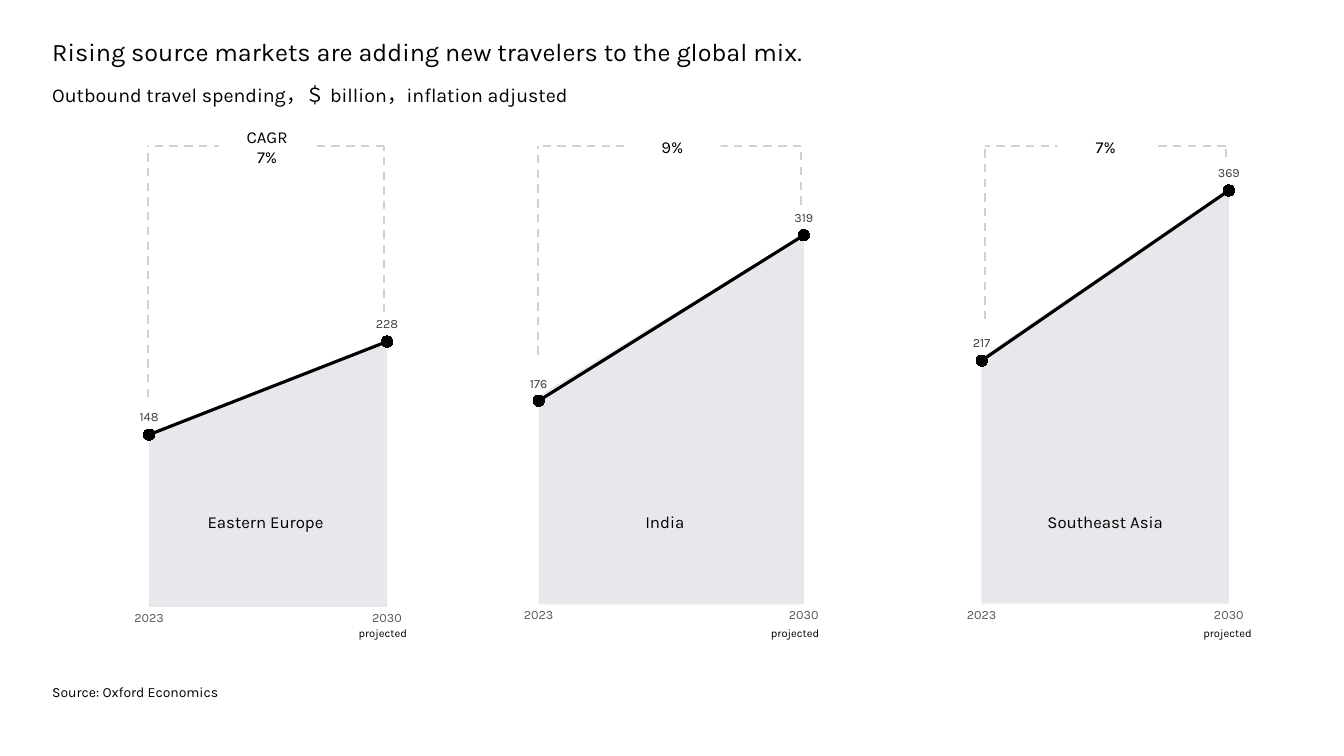
from dataclasses import dataclass

from lxml.etree import SubElement
from pptx import Presentation
from pptx.chart.data import CategoryChartData
from pptx.dml.color import RGBColor
from pptx.enum.chart import XL_CHART_TYPE, XL_LABEL_POSITION, XL_MARKER_STYLE, XL_TICK_MARK
from pptx.enum.dml import MSO_LINE
from pptx.enum.shapes import MSO_CONNECTOR, MSO_SHAPE
from pptx.enum.text import MSO_ANCHOR, MSO_AUTO_SIZE, PP_ALIGN
from pptx.oxml import parse_xml
from pptx.oxml.ns import nsdecls, qn
from pptx.util import Pt


@dataclass(frozen=True)
class Theme:
    font: str = "Karla"
    chart_font: str = "Noto Sans CJK SC"
    ink: str = "000000"
    paper: str = "FFFFFF"
    area: str = "E6E8EB"
    bracket: str = "D1D1D1"
    axis_text: str = "595959"
    value_text: str = "404040"
    title: int = 18
    subtitle: int = 14
    body: int = 12
    small: int = 10
    label: int = 9
    note: int = 8


@dataclass(frozen=True)
class Market:
    """Lengths are points; feet are the lower ends of the bracket's sides."""
    name: str
    rate: str
    area: tuple
    spending: tuple
    axis_top: int
    chart: tuple  # left, width, height
    sides: tuple
    feet: tuple
    rate_centre: float
    name_place: tuple  # left, width
    projected_left: float


MARKETS = (
    Market("India", "9%", (180, 320), (176, 319), 350, (282.2, 394.6, 316.1),
           (384.5, 572.4), (253.4, 146.2), 480.2, (435.6, 78.5), 543.6),
    Market("Eastern Europe", "CAGR\n7%", (148, 228), (148, 228), 250, (14.4, 354.2, 231.1),
           (105.8, 274.3), (283.7, 223.2), 190.8, (113, 153.4), 249.1),
    Market("Southeast Asia", "7%", (220, 370), (217, 369), 400, (605.5, 367.9, 347.8),
           (703.4, 875.5), (228.2, 112.3), 789.8, (733, 113), 852.5),
)
CHART_BOTTOM = 452.2
BRACKET_TOP = 104.4
RATE_MIDDLE = 105
RATE_WIDTH = 69.1


def colour(value):
    return RGBColor.from_string(value)


class Page:
    def __init__(self, deck, theme):
        self.theme = theme
        self.shapes = deck.slides.add_slide(deck.slide_layouts[6]).shapes

    def style(self, font, size, ink, name=None):
        font.name = name or self.theme.font
        font.size = Pt(size)
        font.color.rgb = colour(ink)

    def fill_text(self, frame, text, size, align=PP_ALIGN.LEFT, wrap=True):
        frame.word_wrap = wrap
        frame.auto_size = MSO_AUTO_SIZE.SHAPE_TO_FIT_TEXT
        for index, line in enumerate(text.split("\n")):
            para = frame.paragraphs[0] if index == 0 else frame.add_paragraph()
            para.alignment = align
            span = para.add_run()
            span.text = line
            self.style(span.font, size, self.theme.ink)

    def text(self, text, left, top, width, height, **look):
        box = self.shapes.add_textbox(Pt(left), Pt(top), Pt(width), Pt(height))
        self.fill_text(box.text_frame, text, **look)

    def rate(self, text, centre):
        """Cover the middle of the bracket with the growth rate."""
        height = 36 if "\n" in text else 21.6
        box = self.shapes.add_shape(
            MSO_SHAPE.RECTANGLE, Pt(centre - RATE_WIDTH / 2),
            Pt(RATE_MIDDLE - height / 2), Pt(RATE_WIDTH), Pt(height))
        box.shadow.inherit = False
        box.fill.solid()
        box.fill.fore_color.rgb = colour(self.theme.paper)
        box.line.fill.background()
        box.text_frame.vertical_anchor = MSO_ANCHOR.MIDDLE
        self.fill_text(box.text_frame, text, self.theme.body, PP_ALIGN.CENTER)

    def bracket(self, sides, feet):
        group = self.shapes.add_group_shape()
        (left, right), (left_foot, right_foot) = sides, feet
        for start, end in (((left, left_foot), (left, BRACKET_TOP)),
                           ((right, right_foot), (right, BRACKET_TOP)),
                           ((right, BRACKET_TOP), (left, BRACKET_TOP))):
            line = group.shapes.add_connector(
                MSO_CONNECTOR.STRAIGHT, *(Pt(value) for value in start + end))
            line.line.color.rgb = colour(self.theme.bracket)
            line.line.width = Pt(1.5)
            line.line.dash_style = MSO_LINE.DASH
            SubElement(line._element.spPr, qn("a:effectLst"))

    def chart(self, market):
        left, width, height = market.chart
        data = CategoryChartData()
        data.categories = ["2023", "2030"]
        data.add_series("Series 1", market.area)
        data.add_series("Series 2", market.spending)
        chart = self.shapes.add_chart(
            XL_CHART_TYPE.AREA, Pt(left), Pt(CHART_BOTTOM - height),
            Pt(width), Pt(height), data).chart
        chart.has_legend = False
        chart.has_title = False
        self.style(chart.font, self.theme.small, self.theme.ink, self.theme.chart_font)
        self.axes(chart, market.axis_top)
        self.second_series_as_line(chart)
        self.arrange(chart, height)

        filled, line = (plot.series[0] for plot in chart.plots)
        filled.format.fill.solid()
        filled.format.fill.fore_color.rgb = colour(self.theme.area)
        line.smooth = False
        line.format.line.color.rgb = colour(self.theme.ink)
        line.format.line.width = Pt(2.25)
        line.marker.style = XL_MARKER_STYLE.CIRCLE
        line.marker.size = 8
        line.marker.format.fill.solid()
        line.marker.format.fill.fore_color.rgb = colour(self.theme.paper)
        line.marker.format.line.color.rgb = colour(self.theme.ink)
        labels = line.data_labels
        labels.show_value = True
        labels.position = XL_LABEL_POSITION.ABOVE
        self.style(labels.font, self.theme.label, self.theme.value_text)

    def axes(self, chart, top):
        years, values = chart.category_axis, chart.value_axis
        years.major_tick_mark = years.minor_tick_mark = XL_TICK_MARK.NONE
        years.has_major_gridlines = values.has_major_gridlines = False
        years.format.line.fill.background()
        self.style(years.tick_labels.font, self.theme.label, self.theme.axis_text)
        values.minimum_scale, values.maximum_scale = 0, top
        values.visible = False
        for crossing in values._element.iter(qn("c:crossBetween")):
            crossing.set("val", "between")

    def second_series_as_line(self, chart):
        area = chart.plots[0]._element
        chart.plots[0].vary_by_categories = False
        line = parse_xml(
            f'<c:lineChart {nsdecls("c")}><c:grouping val="standard"/>'
            '<c:varyColors val="0"/><c:marker val="1"/></c:lineChart>')
        line.insert(2, area.findall(qn("c:ser"))[1])
        for axis in area.findall(qn("c:axId")):
            SubElement(line, qn("c:axId")).set("val", axis.get("val"))
        area.addnext(line)

    def arrange(self, chart, height):
        """Clear the background and leave a 2% margin plus a strip for the years."""
        space = chart._chartSpace
        space.find(qn("c:chart")).addnext(parse_xml(
            f'<c:spPr {nsdecls("c", "a")}><a:noFill/><a:ln><a:noFill/></a:ln></c:spPr>'))
        plot_area = space.find(".//" + qn("c:plotArea"))
        for layout in plot_area.findall(qn("c:layout")):
            plot_area.remove(layout)
        sizes = {"x": 0.02, "y": 0.02, "w": 0.96, "h": 0.96 - 14 / height}
        places = "".join(f'<c:{key} val="{value:.4f}"/>' for key, value in sizes.items())
        plot_area.insert(0, parse_xml(
            f'<c:layout {nsdecls("c")}><c:manualLayout><c:layoutTarget val="inner"/>'
            f'<c:xMode val="edge"/><c:yMode val="edge"/>{places}'
            '</c:manualLayout></c:layout>'))

    def market(self, market):
        self.chart(market)
        self.bracket(market.sides, market.feet)
        self.rate(market.rate, market.rate_centre)
        left, width = market.name_place
        self.text(market.name, left, 362.2, width, 21.6,
                  size=self.theme.body, align=PP_ALIGN.CENTER)
        self.text("projected", market.projected_left, 443.5, 57.6, 17.3, size=self.theme.note)


def main():
    deck = Presentation()
    deck.slide_width, deck.slide_height = Pt(960), Pt(540)
    theme = Theme()
    page = Page(deck, theme)
    page.text("Rising source markets are adding new travelers to the global mix.",
              30.2, 22.3, 565.2, 28.8, size=theme.title, wrap=False)
    page.text("Outbound travel spending，＄ billion，inflation adjusted",
              30.2, 55.4, 444.2, 24.5, size=theme.subtitle)
    for market in MARKETS:
        page.market(market)
    page.text("Source: Oxford Economics", 30.2, 484.6, 133.2, 19.4,
              size=theme.small, wrap=False)
    deck.save("out.pptx")


if __name__ == "__main__":
    main()
